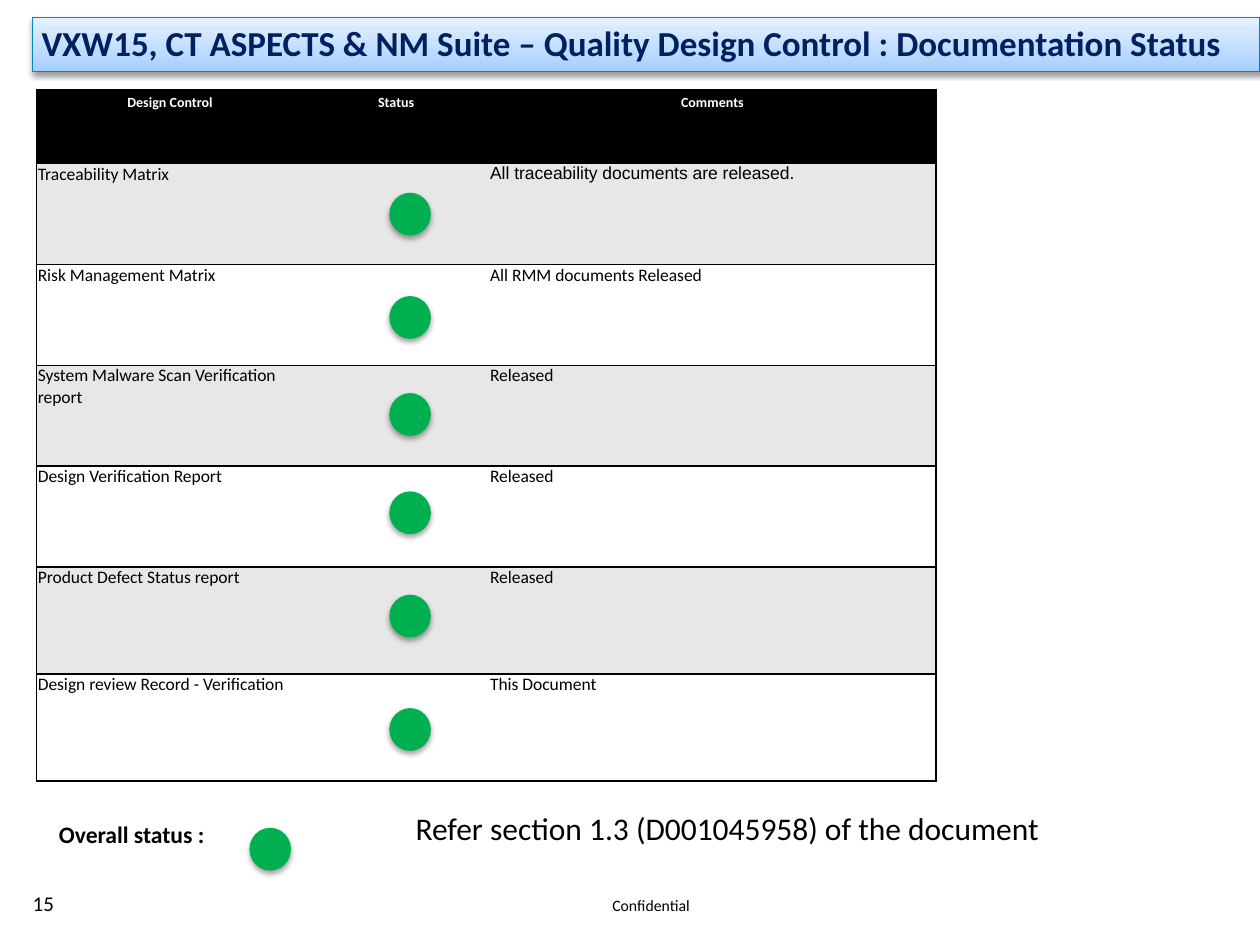
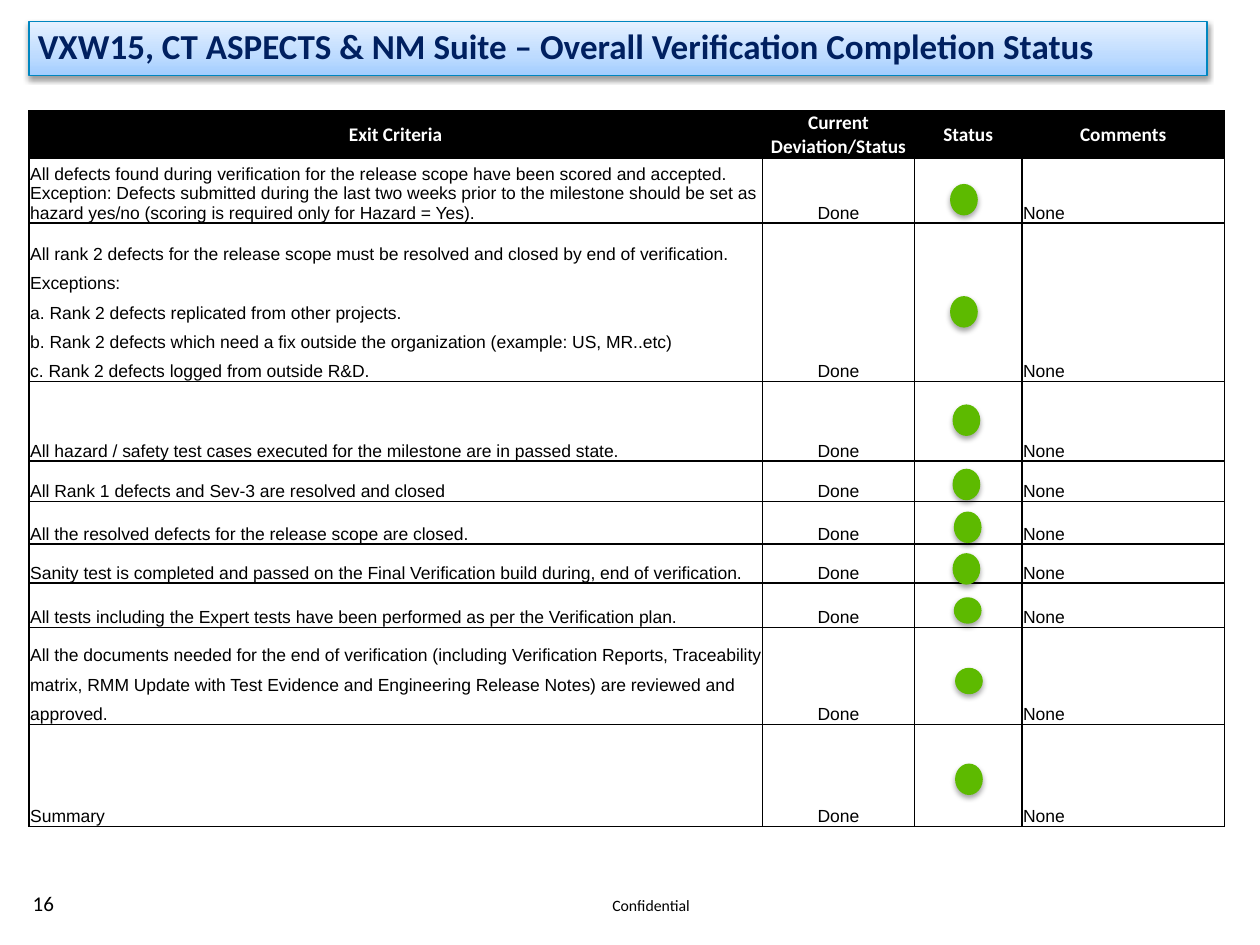
from lxml import etree
from pptx import Presentation
from pptx.dml.color import RGBColor
from pptx.enum.shapes import MSO_SHAPE
from pptx.enum.text import MSO_ANCHOR, PP_ALIGN
from pptx.oxml.ns import qn
from pptx.util import Inches, Pt

RECT, OVAL = MSO_SHAPE.RECTANGLE, MSO_SHAPE.OVAL
TOP, MIDDLE, BOTTOM = MSO_ANCHOR.TOP, MSO_ANCHOR.MIDDLE, MSO_ANCHOR.BOTTOM
LEFT, CENTER = PP_ALIGN.LEFT, PP_ALIGN.CENTER

COLORS = {"black": "000000", "white": "FFFFFF", "band": "E7E7E7", "navy": "002060",
          "edge": "0086C0", "green": "00B050", "lime": "5DBA00"}
TITLE_STOPS = [(0, "A2CDFF"), (35, "BDDBFF"), (100, "E6F1FF")]
TIGHT, HEAD_PAD, TITLE_PAD, BOX_PAD = (0.01, 0), (0.07, 0.04), (0.07, 0.07), (0.1, 0.05)

SUITE = "VXW15, CT ASPECTS & NM Suite – "

DOCS = {
    "title": SUITE + "Quality Design Control : Documentation Status",
    "title_box": (0.26, 0.14, 9.74, 0.43),
    "origin": (0.29, 0.71),
    "cols": [2.12, 1.47, 3.55],
    "head": ["Design Control", "Status", "Comments"],
    "head_height": 0.59,
    "rows": [
        (0.8, "Traceability Matrix", "All traceability documents are released.", 1.53),
        (0.8, "Risk Management Matrix", "All RMM documents Released", 2.35),
        (0.8, "System Malware Scan Verification report", "Released", 3.12),
        (0.8, "Design Verification Report", "Released", 3.9),
        (0.85, "Product Defect Status report", "Released", 4.72),
        (0.85, "Design review Record - Verification", "This Document", 5.62),
    ],
    "dot": (3.09, 0.33, 0.34),
    "overall_dot": (1.98, 6.57),
    "notes": [("Overall status :", (0.37, 6.46, 1.37, 0.33), 13.5, True),
              ("Refer section 1.3 (D001045958) of the document", (3.2, 6.37, 5.28, 0.4), 18, False)],
}

EXIT = {
    "title": SUITE + "Overall Verification Completion Status",
    "title_box": (0.23, 0.17, 9.35, 0.43),
    "origin": (0.23, 0.88),
    "cols": [5.82, 1.21, 0.85, 1.61],
    "head": ["Exit Criteria", "Current Deviation/Status", "Status", "Comments"],
    "head_height": 0.38,
    "rows": [
        (0.51, 1, ["All defects found during verification for the release scope have been scored and accepted.",
                   "Exception: Defects submitted during the last two weeks prior to the milestone should be set as "
                   "hazard yes/no (scoring is required only for Hazard = Yes)."], (7.54, 1.46, 0.25)),
        (1.26, 1.5, ["All rank 2 defects for the release scope must be resolved and closed by end of verification.",
                     "Exceptions:",
                     "a. Rank 2 defects replicated from other projects.",
                     "b. Rank 2 defects which need a fix outside the organization (example: US, MR..etc)",
                     "c. Rank 2 defects logged from outside R&D."], (7.54, 2.35, 0.25)),
        (0.63, 1.5, "All hazard / safety test cases executed for the milestone are in passed state.",
         (7.56, 3.21, 0.25)),
        (0.32, 1.5, "All Rank 1 defects and Sev-3 are resolved and closed", (7.56, 3.72, 0.25)),
        (0.34, 1.5, "All the resolved defects for the release scope are closed.", (7.57, 4.06, 0.25)),
        (0.31, 1.5, "Sanity test is completed and passed on the Final Verification build during, end of verification.",
         (7.56, 4.39, 0.25)),
        (0.35, 1.5, "All tests including the Expert tests have been performed as per the Verification plan.",
         (7.57, 4.74, 0.21)),
        (0.77, 1.5, "All the documents needed for the end of verification (including Verification Reports, "
                    "Traceability matrix, RMM Update with Test Evidence and Engineering Release Notes) are "
                    "reviewed and approved.", (7.58, 5.3, 0.21)),
        (0.81, 1.5, "Summary", (7.58, 6.06, 0.25)),
    ],
    "dot_width": 0.22,
}


def rgb(name):
    return RGBColor.from_string(COLORS[name])


def sub(parent, tag, **attrs):
    el = etree.SubElement(parent, qn(tag))
    for key, value in attrs.items():
        el.set(key, str(value))
    return el


def write(tf, text, size=10, font="Calibri", color="black", bold=False, align=LEFT, spacing=None):
    for i, line in enumerate([text] if isinstance(text, str) else text):
        p = tf.add_paragraph() if i else tf.paragraphs[0]
        p.alignment = align
        if spacing:
            p.line_spacing = spacing
        if not line:
            sub(p._p, "a:endParaRPr", sz=size * 100)
            continue
        r = p.add_run()
        r.text = line
        r.font.size, r.font.name, r.font.bold = Pt(size), font, bold
        r.font.color.rgb = rgb(color)


def set_margins(target, pad):
    target.margin_left = target.margin_right = Inches(pad[0])
    target.margin_top = target.margin_bottom = Inches(pad[1])


def add_text(s, text, box, pad=(0, 0), wrap=True, **fmt):
    tf = s.shapes.add_textbox(*map(Inches, box)).text_frame
    tf.word_wrap = wrap
    set_margins(tf, pad)
    write(tf, text, **fmt)


def add_shadow(sp, alpha, dist):
    sp.shadow.inherit = False
    effects = sp._element.spPr.find(qn("a:effectLst"))
    shadow = sub(effects, "a:outerShdw", blurRad=Pt(3.1), dist=Pt(dist), dir=90 * 60000, rotWithShape=0)
    sub(sub(shadow, "a:srgbClr", val=COLORS["black"]), "a:alpha", val=alpha * 1000)


def add_dot(s, left, top, width, height, color):
    sp = s.shapes.add_shape(OVAL, *map(Inches, (left, top, width, height)))
    sp.fill.solid()
    sp.fill.fore_color.rgb = rgb(color)
    sp.line.fill.background()
    add_shadow(sp, 35, 1.8)


def add_title(s, text, box):
    sp = s.shapes.add_shape(RECT, *map(Inches, box))
    sp.fill.gradient()
    grad = sp._element.spPr.find(qn("a:gradFill"))
    for child in list(grad):
        grad.remove(child)
    stops = sub(grad, "a:gsLst")
    for pos, color in TITLE_STOPS:
        sub(sub(stops, "a:gs", pos=pos * 1000), "a:srgbClr", val=color)
    sub(grad, "a:lin", ang=270 * 60000, scaled=0)
    sp.line.color.rgb = rgb("edge")
    sp.line.width = Pt(0.75)
    add_shadow(sp, 38, 1.6)
    tf = sp.text_frame
    tf.word_wrap = True
    tf.vertical_anchor = MIDDLE
    set_margins(tf, TITLE_PAD)
    write(tf, text, size=20, color="navy", bold=True, spacing=0.9)


def add_grid(s, data):
    heights = [data["head_height"]] + [row[0] for row in data["rows"]]
    widths = data["cols"]
    size = sum(widths), sum(heights)
    table = s.shapes.add_table(len(heights), len(widths), *map(Inches, data["origin"] + size)).table
    table.horz_banding = False
    for col, width in zip(table.columns, widths):
        col.width = Inches(width)
    for row, height in zip(table.rows, heights):
        row.height = Inches(height)
    return table


def fill_cell(cell, text, fill, sides="LRTB", pad=TIGHT, anchor=TOP, **fmt):
    set_margins(cell, pad)
    cell.vertical_anchor = anchor
    tc_pr = cell._tc.get_or_add_tcPr()
    for side in "LRTB":
        ln = sub(tc_pr, "a:ln" + side, w=Pt(1))
        if side in sides:
            sub(sub(ln, "a:solidFill"), "a:srgbClr", val=COLORS["black"])
        else:
            sub(ln, "a:noFill")
    cell.fill.solid()
    cell.fill.fore_color.rgb = rgb(fill)
    write(cell.text_frame, text, **fmt)


def add_head(table, data, sides, **fmt):
    for c, text in enumerate(data["head"]):
        fill_cell(table.cell(0, c), text, "black", sides[c], color="white", bold=True, align=CENTER, **fmt)


def start_slide(prs, number, data):
    s = prs.slides.add_slide(prs.slide_layouts[6])
    add_text(s, "Confidential", (4.86, 7.11, 1, 0.15), size=9)
    add_text(s, str(number), (0.26, 7.07, 0.56, 0.2), size=12)
    add_title(s, data["title"], data["title_box"])
    return s


def build_docs(prs, number):
    s = start_slide(prs, number, DOCS)
    table = add_grid(s, DOCS)
    sides = ["LTB", "TB", "RTB"]
    add_head(table, DOCS, sides, size=8, pad=HEAD_PAD)
    left, width, height = DOCS["dot"]
    for i, (_, control, comment, dot_top) in enumerate(DOCS["rows"], 1):
        for c, text in enumerate([control, "", comment]):
            font = "Arial" if (i, c) == (1, 2) else "Calibri"
            fill_cell(table.cell(i, c), text, "band" if i % 2 else "white", sides[c], font=font)
        add_dot(s, left, dot_top, width, height, "green")
    for text, box, size, bold in DOCS["notes"]:
        add_text(s, text, box, BOX_PAD, wrap=not bold, size=size, bold=bold)
    add_dot(s, *DOCS["overall_dot"], width, height, "green")


def build_exit(prs, number):
    s = start_slide(prs, number, EXIT)
    table = add_grid(s, EXIT)
    add_head(table, EXIT, ["LRTB"] * 4, size=11, anchor=MIDDLE)
    for i, (_, spacing, criteria, (left, top, height)) in enumerate(EXIT["rows"], 1):
        for c, text in enumerate([criteria, "Done", "", "None"]):
            fill_cell(table.cell(i, c), text, "white", anchor=BOTTOM, font="Arial",
                      align=CENTER if c == 1 else LEFT, spacing=None if c else spacing)
        add_dot(s, left, top, EXIT["dot_width"], height, "lime")


def main():
    """Build the two verification status slides."""
    prs = Presentation()
    prs.slide_width, prs.slide_height = Inches(10), Inches(7.5)
    build_docs(prs, 15)
    build_exit(prs, 16)
    prs.save("out.pptx")


if __name__ == "__main__":
    main()
